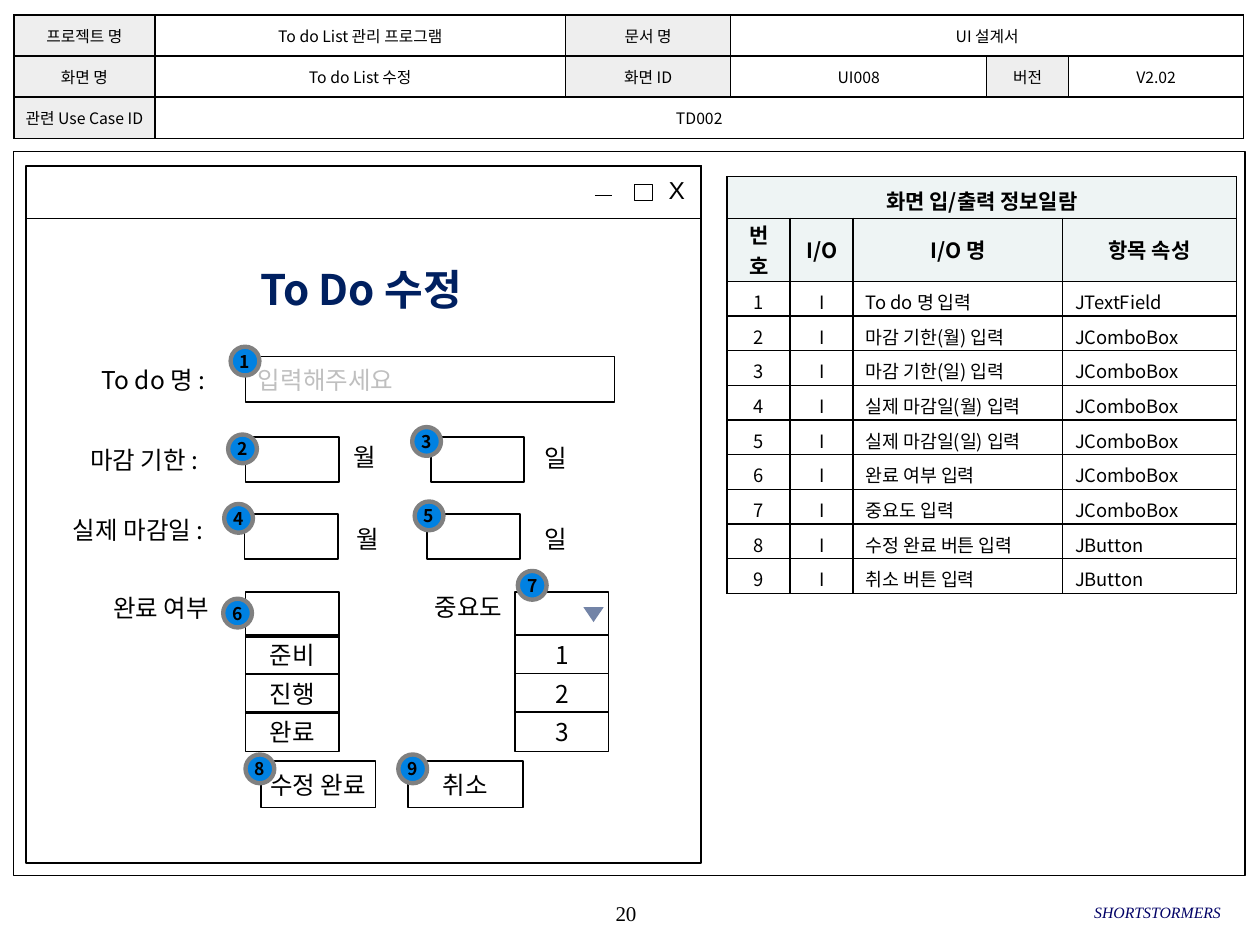
import lxml.etree
import pptx
import pptx.dml.color
import pptx.enum.shapes
import pptx.enum.text
import pptx.oxml.ns
import pptx.util

Cm = pptx.util.Cm
Pt = pptx.util.Pt
qn = pptx.oxml.ns.qn
rgb = pptx.dml.color.RGBColor.from_string
Shape = pptx.enum.shapes.MSO_SHAPE
Align = pptx.enum.text.PP_ALIGN
Anchor = pptx.enum.text.MSO_ANCHOR
AutoSize = pptx.enum.text.MSO_AUTO_SIZE
KOREAN = "Noto Sans CJK KR"

deck = pptx.Presentation()
deck.slide_width = Cm(25.4)
deck.slide_height = Cm(19.05)
slide = deck.slides.add_slide(deck.slide_layouts[6])


def write(frame, text, size=14, color="000000", align=Align.LEFT, face=KOREAN, bold=False, italic=False):
    paragraph = frame.paragraphs[0]
    paragraph.text = text
    paragraph.alignment = align
    font = paragraph.font
    font.size = Pt(size)
    font.bold = bold
    font.italic = italic
    font.color.rgb = rgb(color)
    font.name = face
    east_asian = lxml.etree.SubElement(paragraph._p.pPr.find(qn("a:defRPr")), qn("a:ea"))
    east_asian.set("typeface", face)


def box(place, text="", kind=Shape.RECTANGLE, fill=None, line="000000", weight=1, align=Align.CENTER, **style):
    shape = slide.shapes.add_shape(kind, *[Cm(length) for length in place])
    shape.shadow.inherit = False
    if fill:
        shape.fill.solid()
        shape.fill.fore_color.rgb = rgb(fill)
    else:
        shape.fill.background()
    if line:
        shape.line.color.rgb = rgb(line)
        shape.line.width = Pt(weight)
    else:
        shape.line.fill.background()
    if text:
        shape.text_frame.word_wrap = False
        shape.text_frame.vertical_anchor = Anchor.MIDDLE
        write(shape.text_frame, text, align=align, **style)
    return shape


box((0.28, 3.05, 24.82, 14.6), weight=0.75)
box((0.53, 3.35, 13.61, 14.05))
box((0.53, 3.33, 13.61, 1.07), weight=0.25)
box((12.78, 3.71, 0.38, 0.33), weight=0.25)
minimize = slide.shapes.add_connector(
    pptx.enum.shapes.MSO_CONNECTOR.STRAIGHT, Cm(11.99), Cm(3.94), Cm(12.34), Cm(3.94))
minimize.line.color.rgb = rgb("000000")
minimize.line.width = Pt(0.25)
lxml.etree.SubElement(minimize._element.spPr, qn("a:effectLst"))

box((4.95, 7.19, 7.44, 0.91), "입력해주세요", color="BFBFBF", align=Align.LEFT)
for left, top in [(4.95, 8.81), (8.69, 8.81), (4.93, 10.36), (8.61, 10.36)]:
    box((left, top, 1.88, 0.91))
for left, caption in [(5.26, "수정 완료"), (8.23, "취소")]:
    box((left, 15.34, 2.31, 0.94), caption)
for left, options, fill in [(4.95, ["준비", "진행", "완료"], None), (10.39, ["1", "2", "3"], "FFFFFF")]:
    box((left, 11.94, 1.88, 0.91), fill=fill)
    for index, option in enumerate(options):
        box((left, 12.8 + 0.78 * index, 1.88, 0.79), option, fill=fill)

arrow = box((11.76, 12.24, 0.41, 0.3), kind=Shape.ISOSCELES_TRIANGLE, fill="002060", line=None)
arrow.rotation = 180
arrow_color = arrow._element.spPr.find(qn("a:solidFill"))[0]
lxml.etree.SubElement(arrow_color, qn("a:alpha")).set("val", "55000")

labels = [
    (1.8, 7.24, 3.1, "To do 명 :"),
    (1.57, 8.84, 3.3, "마감 기한 :"),
    (1.22, 10.26, 3.63, "실제 마감일 :"),
    (2.03, 11.84, 2.69, "완료 여부"),
    (8.51, 11.81, 2.01, "중요도"),
    (6.88, 8.79, 1.14, "월"),
    (10.72, 8.81, 1.14, "일"),
    (6.93, 10.44, 1.14, "월"),
    (10.72, 10.44, 1.14, "일"),
]
for left, top, width, label in labels:
    frame = slide.shapes.add_textbox(Cm(left), Cm(top), Cm(width), Cm(0.86)).text_frame
    frame.word_wrap = False
    frame.auto_size = AutoSize.SHAPE_TO_FIT_TEXT
    write(frame, label)

headings = [
    (13.23, 3.4, 0.81, 0.94, "X", {"face": "Arial"}),
    (5, 5.18, 5.26, 1.27, "To Do 수정", {"size": 24, "color": "002060", "bold": True}),
]
for left, top, width, height, heading, style in headings:
    frame = slide.shapes.add_textbox(Cm(left), Cm(top), Cm(width), Cm(height)).text_frame
    frame.word_wrap = True
    write(frame, heading, **style)

footers = [
    (9.98, 17.98, 5.28, "20", {"size": 12, "align": Align.CENTER}),
    (16.84, 17.96, 7.77, "SHORTSTORMERS",
     {"size": 9, "color": "000066", "align": Align.RIGHT, "italic": True}),
]
for left, top, width, footer, style in footers:
    frame = slide.shapes.add_textbox(Cm(left), Cm(top), Cm(width), Cm(0.84)).text_frame
    frame.word_wrap = True
    frame.vertical_anchor = Anchor.MIDDLE
    frame.margin_left = frame.margin_right = frame.margin_top = frame.margin_bottom = 0
    write(frame, footer, face="Times New Roman", **style)

badges = [
    (4.65, 6.99), (4.6, 8.76), (8.31, 8.61), (4.52, 10.16), (8.36, 10.11),
    (4.5, 12.07), (10.44, 11.51), (4.95, 15.21), (8.03, 15.21),
]
for number, (left, top) in enumerate(badges, 1):
    box((left, top, 0.58, 0.58), str(number), Shape.OVAL, "0081E2", "808080", 2.5, size=10, bold=True)

document_rows = [
    ["프로젝트 명", "To do List 관리 프로그램", "문서 명", "UI 설계서", "", ""],
    ["화면 명", "To do List 수정", "화면 ID", "UI008", "버전", "V2.02"],
    ["관련 Use Case ID", "TD002", "", "", "", ""],
]
document_labels = {"프로젝트 명", "문서 명", "화면 명", "화면 ID", "버전", "관련 Use Case ID"}
fields = [
    ("To do 명 입력", "JTextField"),
    ("마감 기한(월) 입력", "JComboBox"),
    ("마감 기한(일) 입력", "JComboBox"),
    ("실제 마감일(월) 입력", "JComboBox"),
    ("실제 마감일(일) 입력", "JComboBox"),
    ("완료 여부 입력", "JComboBox"),
    ("중요도 입력", "JComboBox"),
    ("수정 완료 버튼 입력", "JButton"),
    ("취소 버튼 입력", "JButton"),
]
field_rows = [["화면 입/출력 정보일람", "", "", ""], ["번호", "I/O", "I/O 명", "항목 속성"]]
field_rows += [[str(number), "I", *field] for number, field in enumerate(fields, 1)]

tables = [
    (0.28, 0.3, [2.84, 8.28, 3.33, 5.16, 1.65, 3.53], [0.83] * 3, document_rows,
     [(0, 3, 5), (2, 1, 5)]),
    (14.66, 3.56, [1.27, 1.27, 4.22, 3.51], [0.84, 1.27] + [0.7] * 9, field_rows, [(0, 0, 3)]),
]
for left, top, widths, heights, rows, merges in tables:
    table = slide.shapes.add_table(
        len(rows), len(widths), Cm(left), Cm(top), Cm(sum(widths)), Cm(sum(heights))).table
    table.first_row = table.horz_banding = False
    for column, width in zip(table.columns, widths):
        column.width = Cm(width)
    for row, height in zip(table.rows, heights):
        row.height = Cm(height)
    for row, first, last in merges:
        table.cell(row, first).merge(table.cell(row, last))
    for r, row in enumerate(rows):
        for c, text in enumerate(row):
            cell = table.cell(r, c)
            cell.vertical_anchor = Anchor.MIDDLE
            for side in ("a:lnL", "a:lnR", "a:lnT", "a:lnB"):
                border = lxml.etree.SubElement(cell._tc.tcPr, qn(side), w=str(Pt(1)))
                ink = lxml.etree.SubElement(border, qn("a:solidFill"))
                lxml.etree.SubElement(ink, qn("a:srgbClr"), val="000000")
            if rows is document_rows:
                cell.margin_left = cell.margin_right = Cm(0.1)
                cell.margin_top = cell.margin_bottom = Cm(0.05)
                fill = "EEEEEE" if text in document_labels else "FFFFFF"
                style = {"size": 9, "align": Align.CENTER}
            else:
                heading = r < 2
                cell.margin_top = Cm(0.02 if r == 1 else 0.13)
                cell.margin_bottom = Cm(0.02)
                fill = "EEF4F4" if heading else "FFFFFF"
                style = {"size": 12 if heading else 10.5, "bold": heading,
                         "align": Align.CENTER if heading or c < 2 else Align.LEFT}
            cell.fill.solid()
            cell.fill.fore_color.rgb = rgb(fill)
            if text:
                write(cell.text_frame, text, **style)

deck.save("out.pptx")
